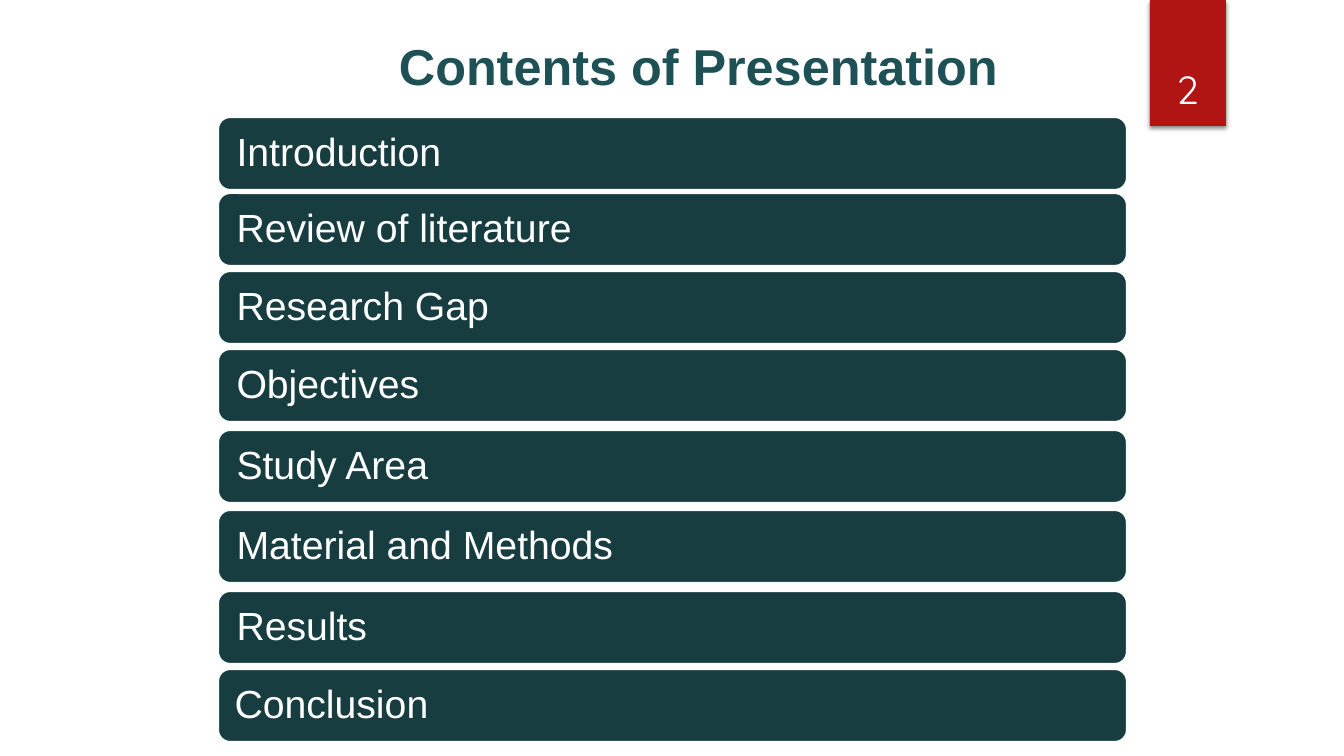
from lxml.etree import SubElement
from pptx import Presentation
from pptx.dml.color import RGBColor
from pptx.enum.shapes import MSO_SHAPE
from pptx.enum.text import MSO_ANCHOR, MSO_AUTO_SIZE, PP_ALIGN
from pptx.oxml.ns import qn
from pptx.util import Pt

PX = 914400 / 100.8
TEAL, DARK_TEAL, RED, WHITE = "1E5155", "173D40", "B01513", "FFFFFF"
TOPICS = [
    ("Introduction", 117),
    ("Review of literature", 193),
    ("Research Gap", 271),
    ("Objectives", 349),
    ("Study Area", 430),
    ("Material and Methods", 510),
    ("Results", 591),
    ("Conclusion", 669),
]


def px(length):
    return round(length * PX)


def color(value):
    return RGBColor.from_string(value)


def assign(target, values):
    for name, value in values.items():
        setattr(target, name, value)


def place(box, bounds):
    names = ("left", "top", "width", "height")
    assign(box, dict(zip(names, map(px, bounds))))


def write(box, text, font, hex_color, frame_format, para_format):
    frame = box.text_frame
    assign(frame, {"word_wrap": True, "auto_size": MSO_AUTO_SIZE.NONE, **frame_format})
    para = frame.paragraphs[0]
    assign(para, para_format)
    span = para.add_run()
    span.text = text
    assign(span.font, font)
    span.font.color.rgb = color(hex_color)


def add_block(page, kind, bounds, fill):
    box = page.shapes.add_shape(kind, *map(px, bounds))
    box.shadow.inherit = False
    box.fill.solid()
    box.fill.fore_color.rgb = color(fill)
    return box


def add_title(page, bounds):
    title = page.shapes.title
    place(title, bounds)
    write(title, "Contents of Presentation",
          {"name": "Arial", "size": Pt(36), "bold": True}, TEAL,
          {"vertical_anchor": MSO_ANCHOR.TOP, "margin_top": px(36)},
          {"alignment": PP_ALIGN.CENTER})


def add_page_ribbon(page, bounds):
    left, top, width, height = bounds
    ribbon = add_block(page, MSO_SHAPE.RECTANGLE, bounds, RED)
    ribbon.line.fill.background()
    effects = ribbon._element.spPr.find(qn("a:effectLst"))
    shadow = SubElement(effects, qn("a:outerShdw"), blurRad=str(Pt(3)),
                        dist=str(Pt(2)), dir="5400000", rotWithShape="0")
    shade = SubElement(shadow, qn("a:srgbClr"), val="000000")
    SubElement(shade, qn("a:alpha"), val="45000")

    number = page.shapes.add_textbox(
        *map(px, (left - 9, top + 32, width + 17, height - 41)))
    write(number, "2", {"name": "Quicksand", "size": Pt(28)}, WHITE,
          {"vertical_anchor": MSO_ANCHOR.BOTTOM}, {"alignment": PP_ALIGN.CENTER})


def add_topics(page, left, width, height):
    for topic, top in TOPICS:
        bar = add_block(page, MSO_SHAPE.ROUNDED_RECTANGLE,
                        (left, top, width, height), DARK_TEAL)
        bar.line.color.rgb = color(WHITE)
        bar.line.width = Pt(1.5)
        inset = 13 if topic == "Conclusion" else 15
        write(bar, topic, {"name": "Arial", "size": Pt(28)}, WHITE,
              {"vertical_anchor": MSO_ANCHOR.MIDDLE,
               "margin_left": px(inset), "margin_right": px(inset)},
              {"alignment": PP_ALIGN.LEFT, "line_spacing": 0.9})


def main():
    deck = Presentation()
    assign(deck, {"slide_width": px(1344), "slide_height": px(756)})
    page = deck.slides.add_slide(deck.slide_layouts[5])
    page.background.fill.solid()
    page.background.fill.fore_color.rgb = color(WHITE)
    add_page_ribbon(page, (1150, 0, 76, 126))
    add_title(page, (129, -1, 1139, 187))
    add_topics(page, 218, 909, 73)
    deck.save("out.pptx")


if __name__ == "__main__":
    main()
